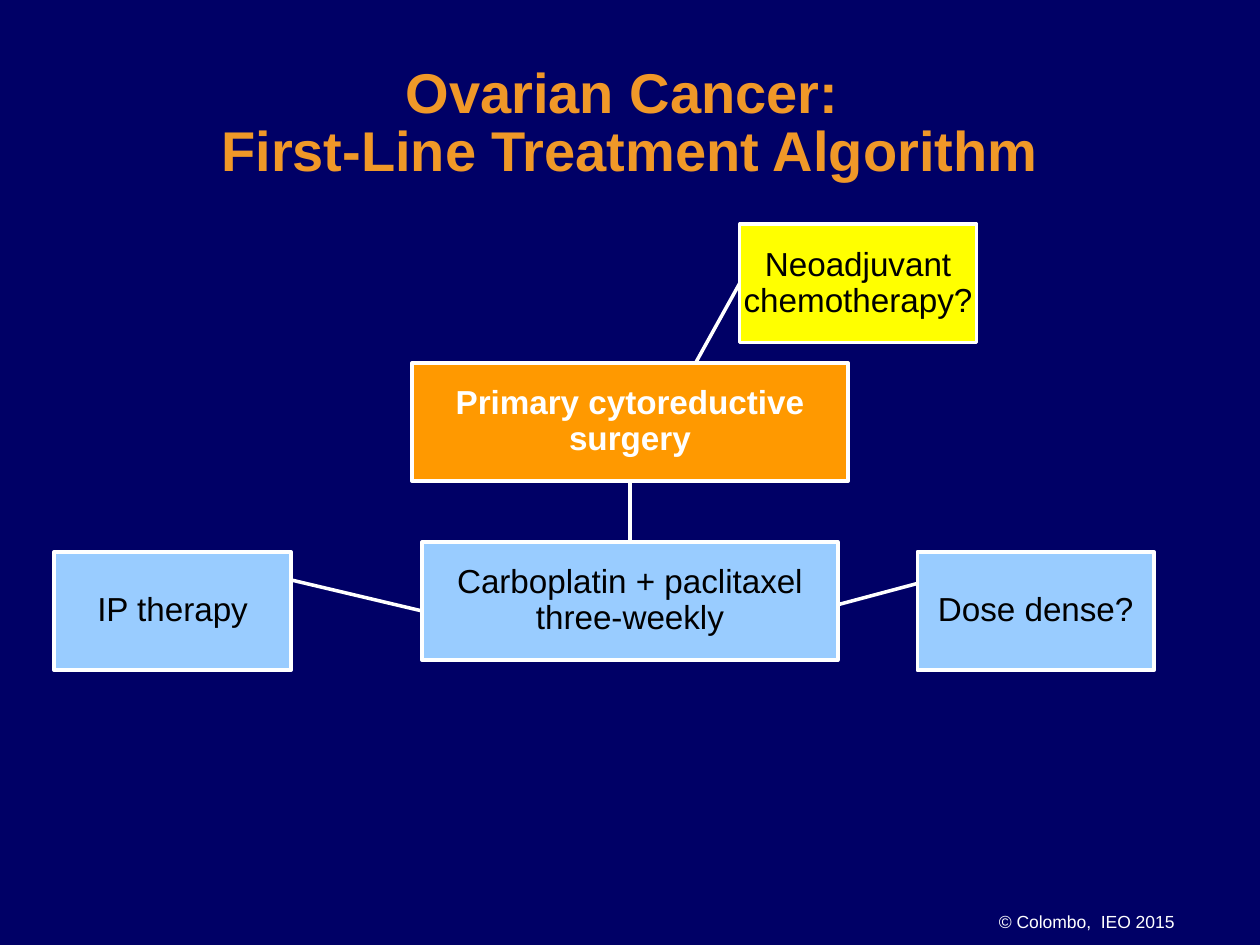
from lxml import etree
from pptx import Presentation, util as u
from pptx.dml.color import RGBColor
from pptx.enum import shapes, text
from pptx.oxml.ns import qn

COLS, ROWS = 100, 75
TOP, LEFT, BOTTOM = 0, 1, 2
BOX_H = 9.4
BOXES = {
    "surgery": (28.4, 11, 34.6, "Primary cytoreductive surgery", "FF9900", "FFFFFF", True),
    "chemo": (29.2, 25.2, 33, "Carboplatin + paclitaxel three-weekly", "99CCFF", "000000", False),
    "dense": (68.5, 26, 18.8, "Dose dense?", "99CCFF", "000000", False),
    "ip": (0, 26, 18.8, "IP therapy", "99CCFF", "000000", False),
    "neo": (54.4, 0, 18.8, "Neoadjuvant chemotherapy?", "FFFF00", "000000", False),
}
LINKS = [
    ("surgery", BOTTOM, "neo", LEFT),
    ("chemo", BOTTOM, "ip", TOP),
    ("chemo", BOTTOM, "dense", TOP),
    ("surgery", BOTTOM, "chemo", TOP),
]


def rgb(value):
    return RGBColor.from_string(value)


def place(prs, x, y, w, h):
    col, row = prs.slide_width / COLS, prs.slide_height / ROWS
    return [round(v) for v in (x * col, y * row, w * col, h * row)]


def write(sp, words, color, size, align, spacing, bold=False, inset=(0.01, 0.01),
          anchor=text.MSO_ANCHOR.MIDDLE):
    tf = sp.text_frame
    across, down = (u.Inches(v) for v in inset)
    frame = {"word_wrap": True, "vertical_anchor": anchor, "margin_left": across,
             "margin_right": across, "margin_top": down, "margin_bottom": down}
    for name, value in frame.items():
        setattr(tf, name, value)
    p = tf.paragraphs[0]
    p.text = words
    p.alignment, p.line_spacing = align, spacing
    for r in p.runs:
        for name, value in {"name": "Arial", "size": u.Pt(size), "bold": bold}.items():
            setattr(r.font, name, value)
        r.font.color.rgb = rgb(color)
    return p


def add_title(prs, s, box):
    sp = s.shapes.add_textbox(*place(prs, *box))
    p = write(sp, "Ovarian Cancer: \vFirst-Line Treatment Algorithm", "F09828", 32,
              text.PP_ALIGN.CENTER, 0.85, True, (0.1, 0.05))
    for r in p.runs:
        fill = r._r.rPr.find(qn("a:solidFill"))
        effects = etree.Element(qn("a:effectLst"))
        shadow = etree.SubElement(effects, qn("a:outerShdw"), dist="38100", dir="2700000")
        etree.SubElement(shadow, qn("a:srgbClr"), val="000000")
        fill.addnext(effects)


def add_box(prs, s, box, words, fill, color, bold):
    sp = s.shapes.add_shape(shapes.MSO_SHAPE.RECTANGLE, *place(prs, *box))
    sp.shadow.inherit = False
    sp.fill.solid()
    sp.fill.fore_color.rgb = rgb(fill)
    sp.line.color.rgb = rgb("FFFFFF")
    sp.line.width = u.Pt(2)
    write(sp, words, color, 19, text.PP_ALIGN.CENTER, 0.9, bold)
    return sp


def add_link(s, start, start_side, end, end_side):
    line = s.shapes.add_connector(shapes.MSO_CONNECTOR.STRAIGHT, 0, 0, 0, 0)
    line.begin_connect(start, start_side)
    line.end_connect(end, end_side)
    line.line.color.rgb = rgb("FFFFFF")
    line.line.width = u.Pt(2)
    etree.SubElement(line._element.spPr, qn("a:effectLst"))
    return line


def add_flowchart(prs, s, left, top):
    nodes = {}
    for name, (x, y, w, *style) in BOXES.items():
        nodes[name] = add_box(prs, s, (left + x, top + y, w, BOX_H), *style)
    first = nodes["surgery"]._element
    for start, start_side, end, end_side in LINKS:
        line = add_link(s, nodes[start], start_side, nodes[end], end_side)
        first.addprevious(line._element)


def add_credit(prs, s, box):
    sp = s.shapes.add_textbox(*place(prs, *box))
    write(sp, "© Colombo,  IEO 2015", "FFFFFF", 10, text.PP_ALIGN.RIGHT, 1,
          inset=(0.1, 0.06), anchor=text.MSO_ANCHOR.TOP)


def main():
    prs = Presentation()
    prs.slide_width, prs.slide_height = u.Inches(10), u.Inches(7.5)
    s = prs.slides.add_slide(prs.slide_layouts[6])
    s.background.fill.solid()
    s.background.fill.fore_color.rgb = rgb("000066")
    add_flowchart(prs, s, 4.3, 17.8)
    add_credit(prs, s, (77.6, 71.7, 16.6, 2.7))
    add_title(prs, s, (5, 3.7, 90, 12.5))
    prs.save("out.pptx")


if __name__ == "__main__":
    main()
